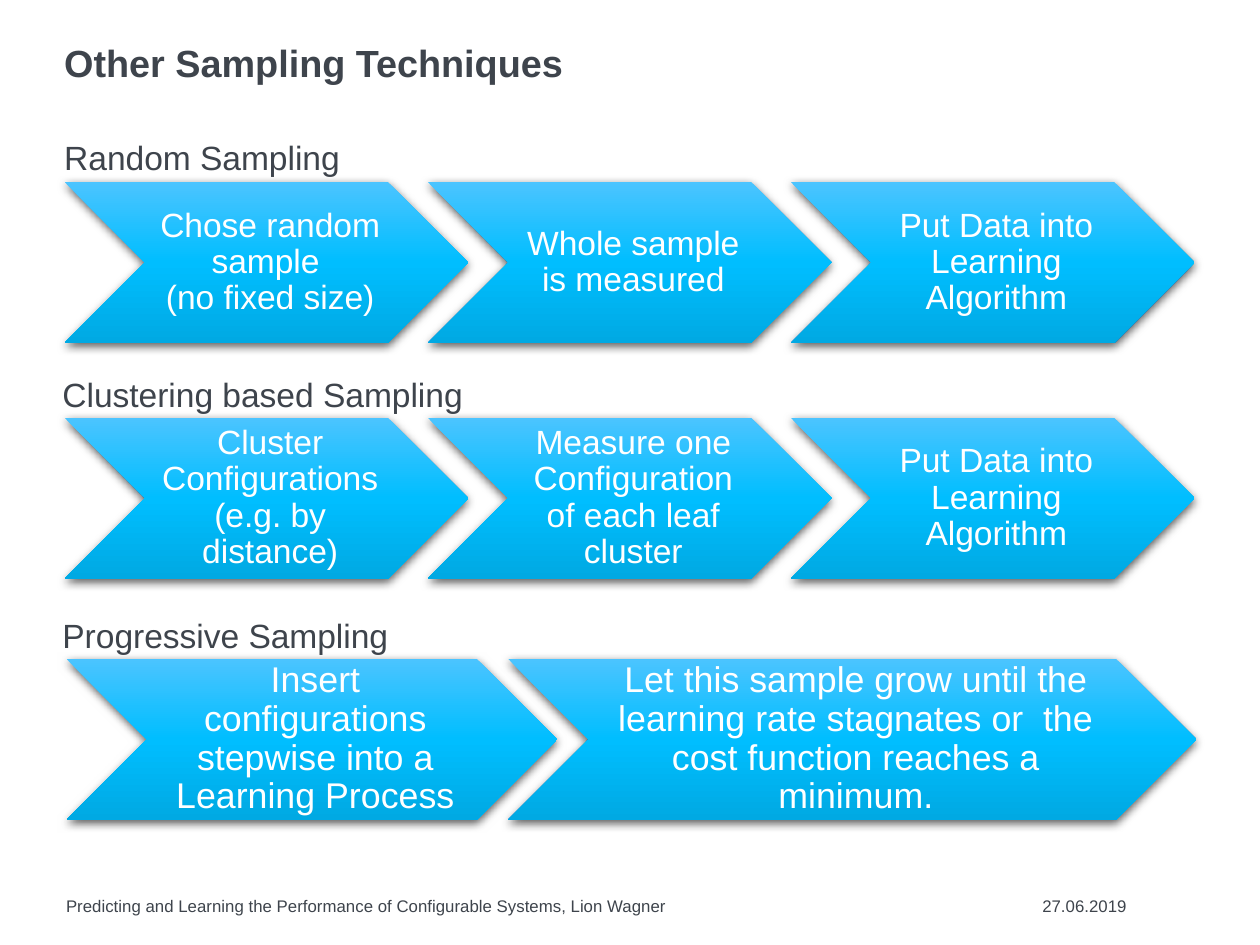
from copy import deepcopy
from dataclasses import dataclass

from lxml import etree
from pptx import Presentation
from pptx.dml.color import RGBColor
from pptx.enum.shapes import MSO_SHAPE
from pptx.enum.text import MSO_ANCHOR, PP_ALIGN
from pptx.oxml import parse_xml
from pptx.util import Cm, Pt

CHEVRON = MSO_SHAPE.CHEVRON
LEFT, CENTER = PP_ALIGN.LEFT, PP_ALIGN.CENTER
TOP, MIDDLE = MSO_ANCHOR.TOP, MSO_ANCHOR.MIDDLE
DRAWING = "http://schemas.openxmlformats.org/drawingml/2006/main"


@dataclass(frozen=True)
class Theme:
    font: str = "Arial"
    ink: str = "3E444C"
    white: str = "FFFFFF"
    gradient: tuple = ((0, "4BC4FF"), (50, "00BEFF"), (100, "00A9E3"))
    shadow: str = "000000"
    title_size: int = 18
    label_size: int = 16
    footer_size: int = 8


theme = Theme()


def write(shape, text, size, color, align=LEFT, anchor=TOP, spacing=1.0,
          bold=False, wrap=True, insets=(0, 0, 0, 0)):
    frame = shape.text_frame
    frame.word_wrap = wrap
    frame.vertical_anchor = anchor
    (frame.margin_left, frame.margin_top,
     frame.margin_right, frame.margin_bottom) = [Cm(inset) for inset in insets]
    para = frame.paragraphs[0]
    para.alignment = align
    para.line_spacing = spacing
    for number, line in enumerate(text.split("\n")):
        if number:
            para.add_line_break()
        span = para.add_run()
        span.text = line
        span.font.name = theme.font
        span.font.size = Pt(size)
        span.font.bold = bold
        span.font.color.rgb = RGBColor.from_string(color)


# A 4:3 page
deck = Presentation()
deck.slide_width, deck.slide_height = Cm(63.5 / 3), Cm(63.5 / 4)
page = deck.slides.add_slide(deck.slide_layouts[6])

# Title
box = page.shapes.add_textbox(Cm(1.08), Cm(0.76), Cm(19), Cm(0.76))
write(box, "Other Sampling Techniques", theme.title_size, theme.ink,
      spacing=0.9, bold=True)

# Gradient and shadow shared by all chevrons
gradient = etree.Element(f"{{{DRAWING}}}gradFill", rotWithShape="1")
stops = etree.SubElement(gradient, f"{{{DRAWING}}}gsLst")
for position, color in theme.gradient:
    stop = etree.SubElement(stops, f"{{{DRAWING}}}gs", pos=str(position * 1000))
    etree.SubElement(stop, f"{{{DRAWING}}}srgbClr", val=color)
etree.SubElement(gradient, f"{{{DRAWING}}}lin", ang="5400000", scaled="0")
gradient_xml = etree.tostring(gradient)
shadow = parse_xml(
    f'<a:outerShdw xmlns:a="{DRAWING}" blurRad="{Pt(4.5)}" dist="{Pt(1.5)}" '
    f'dir="5400000" rotWithShape="0"><a:srgbClr val="{theme.shadow}">'
    '<a:alpha val="63000"/></a:srgbClr></a:outerShdw>')

# Sampling techniques: label with its left, top, width and height, then
# chevron left and top, overlap of neighbours, text size, steps with widths
techniques = [
    ("Random Sampling", (1.08, 2.16, 4.67, 0.74), 1.09, 3.06, 0.68, 16, [
        ("Chose random sample \n(no fixed size)", 6.78),
        ("Whole sample is measured", 6.78),
        ("Put Data into Learning Algorithm", 6.78)]),
    ("Clustering based Sampling", (1.05, 6.15, 6.81, 0.81), 1.09, 7.02, 0.68, 16, [
        ("Cluster Configurations (e.g. by distance)", 6.78),
        ("Measure one Configuration of each leaf cluster", 6.78),
        ("Put Data into Learning Algorithm", 6.78)]),
    ("Progressive Sampling", (1.05, 10.19, 5.54, 0.81), 1.12, 11.07, 0.82, 17, [
        ("Insert configurations stepwise into a Learning Process", 8.24),
        ("Let this sample grow until the learning rate stagnates or  the "
         "cost function reaches a minimum.", 11.56)]),
]
for label, place, left, top, overlap, size, steps in techniques:
    box = page.shapes.add_textbox(*[Cm(length) for length in place])
    write(box, label, theme.label_size, theme.ink, spacing=1.2, wrap=False)
    for step, width in steps:
        chevron = page.shapes.add_shape(CHEVRON, Cm(left), Cm(top),
                                        Cm(width), Cm(2.7))
        chevron.line.fill.background()
        chevron.shadow.inherit = False
        properties = chevron.element.spPr
        properties.find(f"{{{DRAWING}}}prstGeom").addnext(parse_xml(gradient_xml))
        properties.find(f"{{{DRAWING}}}effectLst").append(deepcopy(shadow))
        write(chevron, step, size, theme.white, align=CENTER, anchor=MIDDLE,
              spacing=0.9, insets=(0.18, 0.06, 0.06, 0.06))
        left += width - overlap

# Footer
for text, left, width in [
    ("Predicting and Learning the Performance of Configurable Systems, "
     "Lion Wagner", 1.11, 14),
    ("27.06.2019", 17.51, 1.68),
]:
    box = page.shapes.add_textbox(Cm(left), Cm(15.05), Cm(width), Cm(0.33))
    write(box, text, theme.footer_size, theme.ink)

deck.save("out.pptx")
